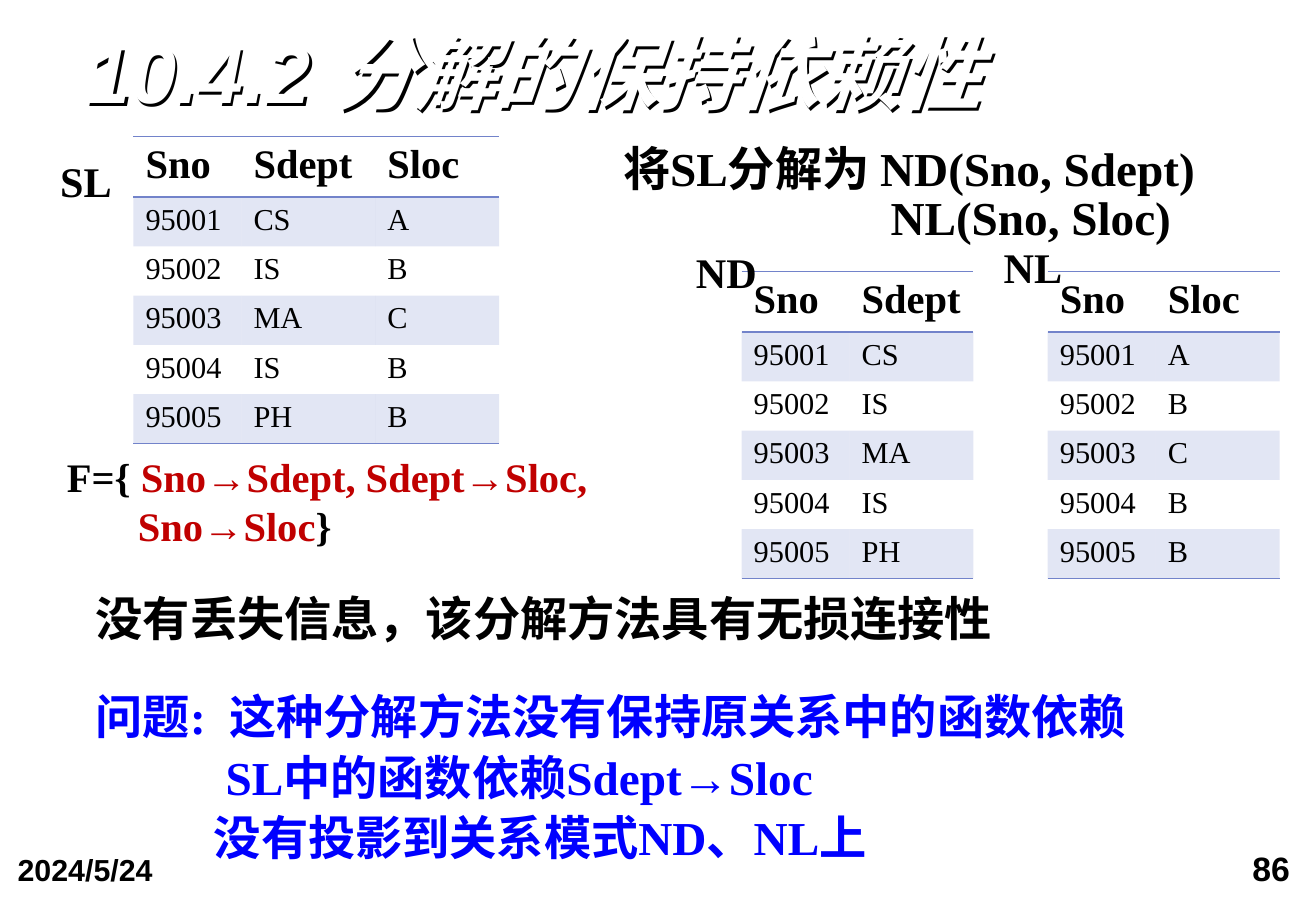
import pptx
import pptx.dml.color
import pptx.enum.text
import pptx.oxml
import pptx.oxml.ns
import pptx.util
from lxml import etree

Pt = pptx.util.Pt
RGB = pptx.dml.color.RGBColor
ALIGN = pptx.enum.text.PP_ALIGN
ANCHOR = pptx.enum.text.MSO_ANCHOR
qn = pptx.oxml.ns.qn

BLACK = RGB(0x00, 0x00, 0x00)
WHITE = RGB(0xFF, 0xFF, 0xFF)
RED = RGB(0xC0, 0x00, 0x00)
BLUE = RGB(0x00, 0x00, 0xFF)
RULE = RGB(0x72, 0x83, 0xCA)
SERIF, SANS = "Times New Roman", "Arial"
NS = 'xmlns:a="http://schemas.openxmlformats.org/drawingml/2006/main"'
NO_STYLE = "{2D5ABB26-0587-4C30-8999-92F81FD0307C}"

prs = pptx.Presentation()
prs.slide_width, prs.slide_height = Pt(780), Pt(540)
s = prs.slides.add_slide(prs.slide_layouts[6])


def add_text(box, paragraphs, size, font=SERIF, inset=(7.2, 3.6), wrap=True):
    """Each paragraph is a list of (text, colour) runs."""
    sp = s.shapes.add_textbox(*[Pt(v) for v in box])
    tf = sp.text_frame
    tf.word_wrap = wrap
    tf.margin_left = tf.margin_right = Pt(inset[0])
    tf.margin_top = tf.margin_bottom = Pt(inset[1])
    for i, runs in enumerate(paragraphs):
        p = tf.paragraphs[0] if i == 0 else tf.add_paragraph()
        for text, colour in runs:
            r = p.add_run()
            r.text = text
            r.font.name, r.font.size, r.font.bold = font, Pt(size), True
            r.font.color.rgb = colour
    return sp


def set_indent(p, left):
    pPr = p._p.get_or_add_pPr()
    pPr.set("marL", str(Pt(left)))
    pPr.set("indent", "0")


# Page number and date
sp = add_text((577, 498, 197, 42), [[("86", BLACK)]], 20, SANS, (9.4, 4.3))
sp.text_frame.paragraphs[0].alignment = ALIGN.RIGHT
add_text((1, 500, 181, 45), [[("2024/5/24", BLACK)]], 18, SANS, (9.4, 4.3))

# Title: white letters over a shadow
sp = add_text((51, 20, 695, 52), [[("10.4.2 分解的保持依赖性", WHITE)]], 48, SANS, (0, 0))
sp.text_frame.vertical_anchor = ANCHOR.BOTTOM
p = sp.text_frame.paragraphs[0]
p.line_spacing = 0.9
p.runs[0].font.italic = True
sp._element.spPr.append(pptx.oxml.parse_xml(
    f'<a:effectLst {NS}><a:outerShdw dist="{Pt(2)}" dir="2700000" algn="ctr">'
    f'<a:srgbClr val="{BLACK}"/></a:outerShdw></a:effectLst>'))

# Decomposition
sp = add_text((339.3, 91.5, 420, 54), [[("将SL分解为 ND(Sno, Sdept)", BLACK)],
                                       [("NL(Sno, Sloc)", BLACK)]], 28, inset=(0, 0))
for p, left in zip(sp.text_frame.paragraphs, (30, 188.5)):
    set_indent(p, left)
    p.line_spacing = 0.7
p.space_before = Pt(5.6)

# Conclusion and problem
sp = add_text((49.7, 349.6, 641, 85), [
    [("没有丢失信息，该分解方法具有无损连接性", BLACK)],
    [("问题:  这种分解方法没有保持原关系中的函数依赖", BLUE)],
    [("SL中的函数依赖Sdept→Sloc", BLUE)],
    [("没有投影到关系模式ND、NL上", BLUE)]], 28)
for p, left, before in zip(sp.text_frame.paragraphs, (0, 0, 77, 70), (0, 28, 5.6, 5.6)):
    set_indent(p, left)
    p.line_spacing = 0.9
    p.space_before = Pt(before)

# Functional dependencies
sp = add_text((32.6, 264.5, 369, 66), [
    [("F={ ", BLACK), ("Sno→Sdept, Sdept→Sloc,", RED)],
    [("Sno→Sloc", RED), ("}", BLACK)]], 24)
set_indent(sp.text_frame.paragraphs[1], 42)

# Relations: name, name position, table position, column widths, columns
sno = ["95001", "95002", "95003", "95004", "95005"]
sdept = ["CS", "IS", "MA", "IS", "PH"]
sloc = ["A", "B", "C", "B", "B"]
relations = [
    ("ND", (405.4, 142.5), (439.5, 160.8), (64, 73.5), {"Sno": sno, "Sdept": sdept}),
    ("NL", (587.8, 139.7), (621, 160.8), (64, 73.5), {"Sno": sno, "Sloc": sloc}),
    ("SL", (28.6, 88.5), (79.1, 80.8), (64, 79.3, 73.5),
     {"Sno": sno, "Sdept": sdept, "Sloc": sloc}),
]
for name, name_at, table_at, widths, columns in relations:
    rows = [list(columns)] + list(zip(*columns.values()))
    frame = s.shapes.add_table(len(rows), len(widths), Pt(table_at[0]), Pt(table_at[1]),
                               Pt(sum(widths)), Pt(182))
    table = frame.table
    table._tbl.tblPr.find(qn("a:tableStyleId")).text = NO_STYLE
    for column, width in zip(table.columns, widths):
        column.width = Pt(width)
    for i, row in enumerate(rows):
        table.rows[i].height = Pt(36 if i == 0 else 29.2)
        edges = {0: ("a:lnT", "a:lnB"), len(rows) - 1: ("a:lnB",)}.get(i, ())
        for j, text in enumerate(row):
            cell = table.cell(i, j)
            cell.text = text
            f = cell.text_frame.paragraphs[0].runs[0].font
            f.name, f.size, f.bold = SERIF, Pt(24 if i == 0 else 18), i == 0
            f.color.rgb = BLACK
            tcPr = cell._tc.get_or_add_tcPr()
            for edge in edges:
                tcPr.append(pptx.oxml.parse_xml(
                    f'<{edge} {NS} w="{Pt(1)}"><a:solidFill><a:srgbClr val="{RULE}"/>'
                    f'</a:solidFill></{edge}>'))
            if i % 2:
                cell.fill.solid()
                cell.fill.fore_color.rgb = RULE
                tint = tcPr.find(qn("a:solidFill")).find(qn("a:srgbClr"))
                etree.SubElement(tint, qn("a:alpha"), val="20000")
            else:
                cell.fill.background()
    add_text((*name_at, 51, 37.4), [[(name, BLACK)]], 25, wrap=False)

prs.save("out.pptx")
